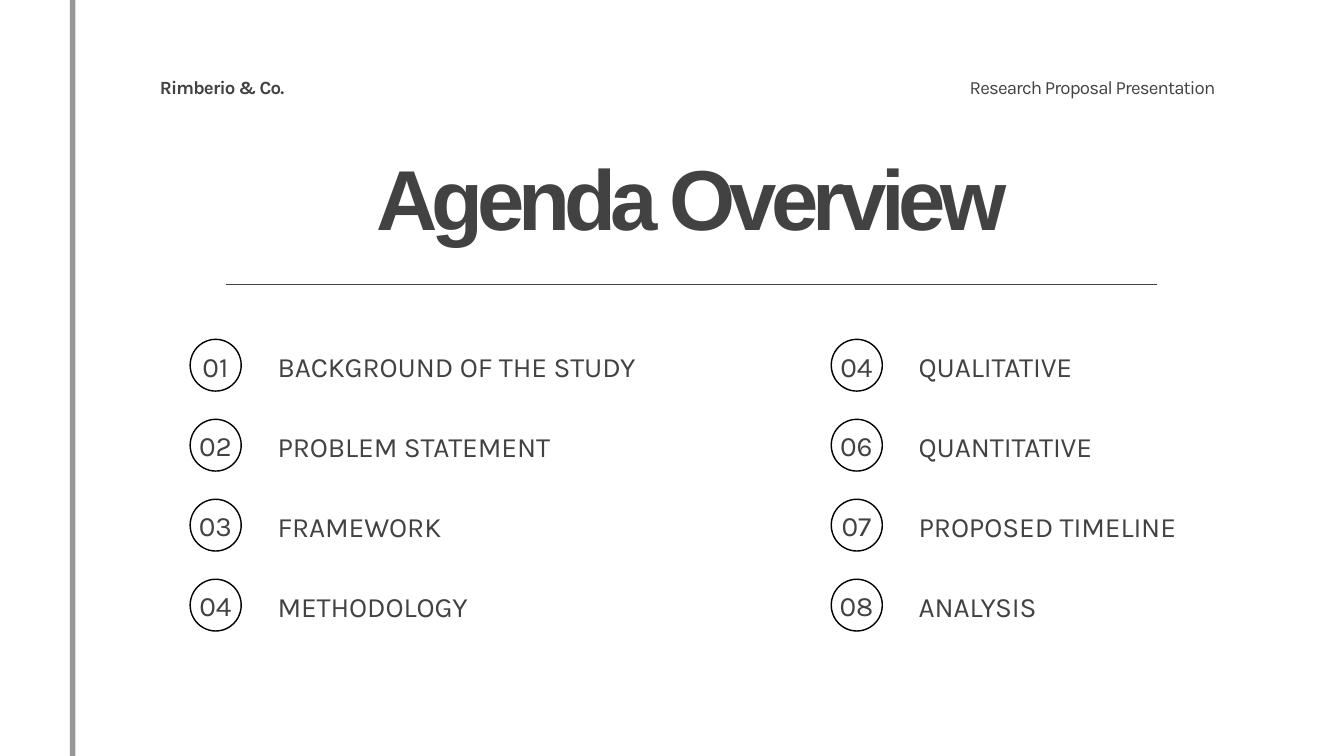
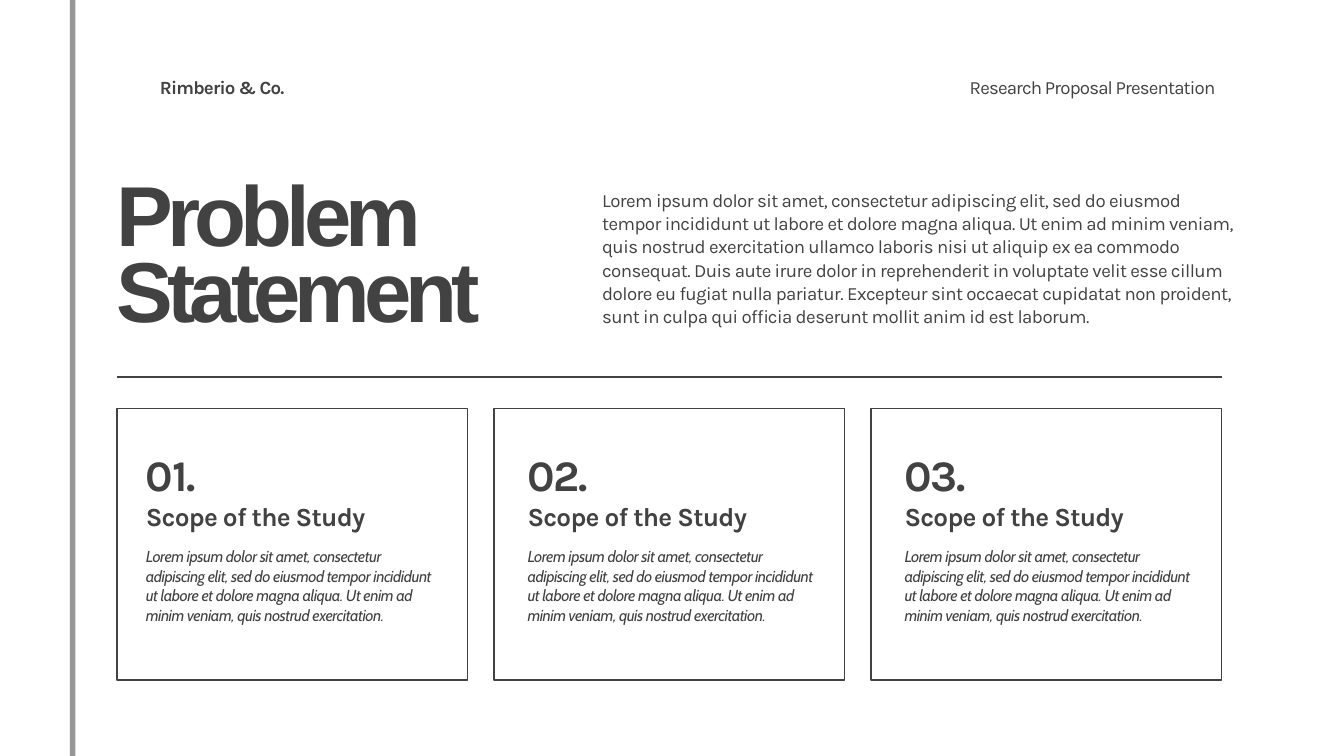
from collections import namedtuple

from lxml import etree
from pptx import Presentation
from pptx.dml.color import RGBColor
from pptx.enum.shapes import MSO_CONNECTOR, MSO_SHAPE
from pptx.enum.text import MSO_ANCHOR, MSO_AUTO_SIZE, PP_ALIGN
from pptx.oxml.ns import qn
from pptx.util import Inches, Pt

STRAIGHT = MSO_CONNECTOR.STRAIGHT
OVAL, RECTANGLE = MSO_SHAPE.OVAL, MSO_SHAPE.RECTANGLE
LEFT, CENTER = PP_ALIGN.LEFT, PP_ALIGN.CENTER
TOP = MSO_ANCHOR.TOP
GROW = MSO_AUTO_SIZE.SHAPE_TO_FIT_TEXT

WIDTH, HEIGHT = 20, 11.25
INK, BLACK, WHITE = "424242", "000000", "FFFFFF"

Style = namedtuple("Style", "font size leading tracking bold italic", defaults=(False, False))
TITLE = Style("Arial", 91.1, 82, -6.4, bold=True)
BRAND = Style("Karla", 20, 28, -0.9, bold=True)
HEADER = Style("Karla", 20, 28, -0.9)
AGENDA = Style("Karla", 30, 43.5, -0.1)
INTRO = Style("Karla", 20, 25, -0.6)
CARD_NUMBER = Style("Karla", 46.7, 58.4, -1.4, bold=True)
CARD_HEADING = Style("Karla", 28, 35, -0.8, bold=True)
CARD_BODY = Style("Cabin", 17, 21.2, -0.5, italic=True)

AGENDA_COLUMNS = [
    [("01", "BACKGROUND OF THE STUDY"), ("02", "PROBLEM STATEMENT"),
     ("03", "FRAMEWORK"), ("04", "METHODOLOGY")],
    [("04", "QUALITATIVE"), ("06", "QUANTITATIVE"),
     ("07", "PROPOSED TIMELINE"), ("08", "ANALYSIS")],
]
CARD_LOREM = (
    "Lorem ipsum dolor sit amet, consectetur adipiscing elit, sed do eiusmod tempor "
    "incididunt ut labore et dolore magna aliqua. Ut enim ad minim veniam, quis nostrud "
    "exercitation"
)
INTRO_LOREM = (
    CARD_LOREM + " ullamco laboris nisi ut aliquip ex ea commodo consequat. Duis aute irure "
    "dolor in reprehenderit in voluptate velit esse cillum dolore eu fugiat nulla pariatur. "
    "Excepteur sint occaecat cupidatat non proident, sunt in culpa qui officia deserunt "
    "mollit anim id est laborum."
)


def color(hex_code):
    """Turn a hex string into a colour."""
    return RGBColor.from_string(hex_code)


def write(box, text, style, align=LEFT):
    """Fill a box with text in one style, without insets."""
    frame = box.text_frame
    frame.text = text
    frame.word_wrap = True
    frame.auto_size = GROW
    frame.vertical_anchor = TOP
    frame.margin_left = frame.margin_right = frame.margin_top = frame.margin_bottom = 0
    for para in frame.paragraphs:
        para.alignment = align
        para.line_spacing = Pt(style.leading)
        for span in para.runs:
            span.font.name = style.font
            span.font.size = Pt(style.size)
            span.font.bold = style.bold
            span.font.italic = style.italic
            span.font.color.rgb = color(INK)
            span._r.get_or_add_rPr().set("spc", str(round(style.tracking * 100)))


def add_text(page, area, text, style, align=LEFT):
    """Add a text box at left, top, width, height."""
    box = page.shapes.add_textbox(*map(Inches, area))
    write(box, text, style, align)


def add_title(page, area, text, align=LEFT):
    """Move and fill the title placeholder."""
    title = page.shapes.title
    title.left, title.top, title.width, title.height = map(Inches, area)
    write(title, text, TITLE, align)


def add_line(page, start, end, weight=1.5, opacity=100):
    """Draw a straight line between two points."""
    line = page.shapes.add_connector(STRAIGHT, *map(Inches, start + end))
    line.line.width = Pt(weight)
    line.line.color.rgb = color(INK)
    properties = line._element.spPr
    etree.SubElement(properties, qn("a:effectLst"))
    if opacity < 100:
        shade = properties.find(".//" + qn("a:srgbClr"))
        etree.SubElement(shade, qn("a:alpha")).set("val", str(opacity * 1000))


def add_outline(page, kind, area, line_color):
    """Add an unfilled preset shape."""
    shape = page.shapes.add_shape(kind, *map(Inches, area))
    shape.shadow.inherit = False
    shape.fill.background()
    shape.line.color.rgb = color(line_color)
    shape.line.width = Pt(1.5)


def add_page(deck):
    """Start a slide with the side bar and the header."""
    page = deck.slides.add_slide(deck.slide_layouts[5])
    page.background.fill.solid()
    page.background.fill.fore_color.rgb = color(WHITE)
    add_line(page, (1.08, 0), (1.08, HEIGHT), weight=6, opacity=55)
    add_text(page, (2.38, 1.07, 3.95, 0.38), "Rimberio & Co.", BRAND)
    add_text(page, (14.43, 1.07, 4.83, 0.38), "Research Proposal Presentation", HEADER)
    return page


def add_agenda_item(page, left, top, number, label):
    """Add a circled number with its label."""
    add_outline(page, OVAL, (left, top, 0.76, 0.77), BLACK)
    add_text(page, (left + 0.03, top + 0.04, 0.69, 0.57), number, AGENDA, CENTER)
    add_text(page, (left + 1.3, top + 0.05, 6.2, 0.57), label, AGENDA)


def add_card(page, left, indent, number):
    """Add a framed card with number, heading and body."""
    add_outline(page, RECTANGLE, (left, 6.08, 5.22, 4.04), INK)
    text_left = left + indent
    add_text(page, (text_left, 6.64, 3.76, 0.8), number, CARD_NUMBER)
    add_text(page, (text_left, 7.42, 4.35, 0.47), "Scope of the Study", CARD_HEADING)
    add_text(page, (text_left, 8.12, 4.35, 1.46), CARD_LOREM + ".", CARD_BODY)


def build_agenda(deck):
    """Build the agenda slide."""
    page = add_page(deck)
    add_title(page, (3.8, 2.54, 12.97, 1.23), "Agenda Overview", CENTER)
    add_line(page, (3.36, 4.23), (17.21, 4.23))
    for column, items in enumerate(AGENDA_COLUMNS):
        for row, (number, label) in enumerate(items):
            add_agenda_item(page, 2.83 + 9.54 * column, 5.05 + 1.19 * row, number, label)


def build_problem(deck):
    """Build the problem statement slide."""
    page = add_page(deck)
    add_title(page, (1.74, 2.78, 7, 2.37), "Problem\nStatement")
    add_text(page, (8.96, 2.79, 9.51, 2.06), INTRO_LOREM, INTRO)
    add_line(page, (1.74, 5.61), (18.18, 5.61))
    for index, indent in enumerate((0.43, 0.5, 0.5)):
        add_card(page, 1.74 + 5.61 * index, indent, f"{index + 1:02}.")


def main():
    """Build and save the deck."""
    deck = Presentation()
    deck.slide_width, deck.slide_height = Inches(WIDTH), Inches(HEIGHT)
    build_agenda(deck)
    build_problem(deck)
    deck.save("out.pptx")


if __name__ == "__main__":
    main()
